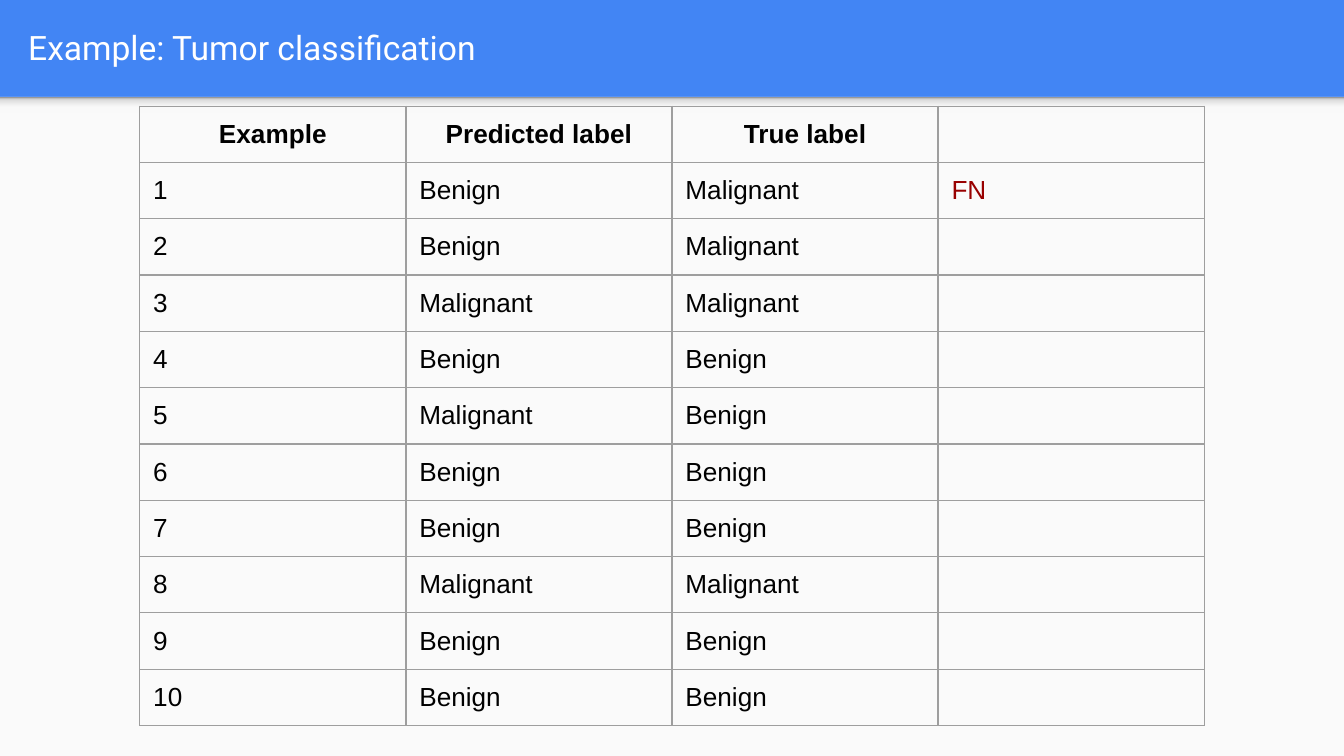
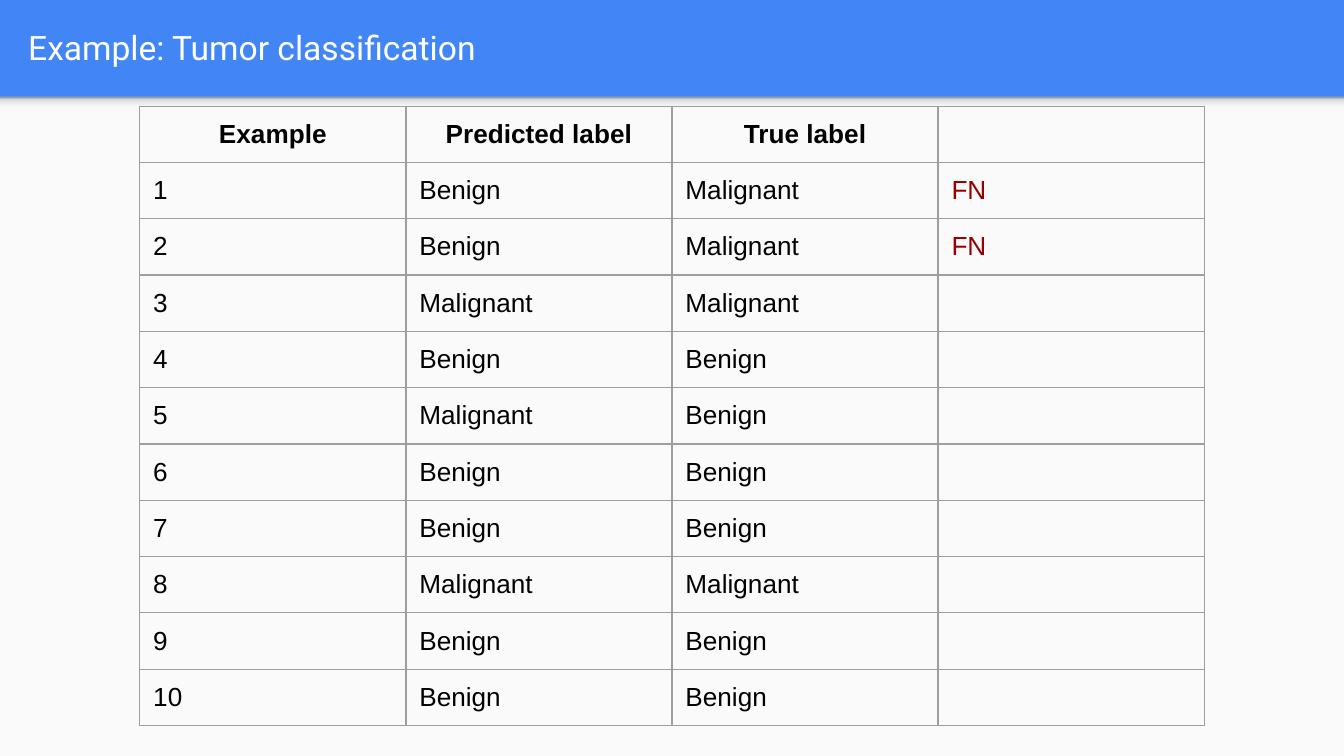
"""Build the tumor classification slides."""
from dataclasses import dataclass

from lxml import etree
from pptx import Presentation
from pptx import util as u
from pptx.dml.color import RGBColor
from pptx.enum import shapes, text
from pptx.oxml import ns


@dataclass(frozen=True)
class Theme:
    blue: str = "4285F4"
    page: str = "FAFAFA"
    white: str = "FFFFFF"
    ink: str = "000000"
    red: str = "980000"
    grid: str = "9E9E9E"
    shade: tuple = ((0, "F9F9F9"), (36, "F9F9F9"), (80, "DEDEDE"), (100, "999999"))
    head: str = "Roboto"
    body: str = "Arial"
    big: int = 18
    small: int = 14
    rule: float = 0.75


HEADS = ("Example", "Predicted label", "True label", "")
CASES = (
    ("Benign", "Malignant"),
    ("Benign", "Malignant"),
    ("Malignant", "Malignant"),
    ("Benign", "Benign"),
    ("Malignant", "Benign"),
    ("Benign", "Benign"),
    ("Benign", "Benign"),
    ("Malignant", "Malignant"),
    ("Benign", "Benign"),
    ("Benign", "Benign"),
)


def add(node, tag, **attrs):
    return etree.SubElement(node, ns.qn(tag), **attrs)


def write(frame, words, font, size, color, bold=False, align=text.PP_ALIGN.LEFT):
    para = frame.paragraphs[0]
    para.alignment = align
    if not words:
        end = add(para._p, "a:endParaRPr", sz=str(size * 100))
        add(end, "a:latin", typeface=font)
        return
    run = para.add_run()
    run.text = words
    run.font.name = font
    run.font.size = u.Pt(size)
    run.font.bold = bold
    run.font.color.rgb = RGBColor.from_string(color)


def pad(box):
    for side in ("left", "right", "top", "bottom"):
        setattr(box, f"margin_{side}", u.Inches(0.1))


class Deck:
    """Hold the style and the current slide."""

    def __init__(self, style):
        self.style = style
        self.prs = Presentation()
        self.prs.slide_width = u.Inches(10)
        self.prs.slide_height = u.Inches(10 * 9 / 16)
        self.base = self.prs.slide_layouts[5]
        self.slide = None
        fill = self.prs.slide_master.background.fill
        fill.solid()
        fill.fore_color.rgb = RGBColor.from_string(style.blue)

    def start(self):
        first = self.slide is None
        self.slide = self.prs.slides.add_slide(self.base)
        if first:
            self.share(self.panel(0.72, 4.91), self.shadow(0.72, 0.12))

    def share(self, *parts):
        tree = self.base.shapes.element
        for spot, part in enumerate(parts, 2):
            tree.insert(spot, part.element)

    def panel(self, top, height):
        box = self.slide.shapes.add_shape(
            shapes.MSO_SHAPE.RECTANGLE, 0, u.Inches(top), u.Inches(10), u.Inches(height))
        box.shadow.inherit = False
        box.line.fill.background()
        box.fill.solid()
        box.fill.fore_color.rgb = RGBColor.from_string(self.style.page)
        return box

    def shadow(self, top, height):
        box = self.panel(top, height)
        box.fill.gradient()
        grad = box.element.spPr.find(ns.qn("a:gradFill"))
        for child in list(grad):
            grad.remove(child)
        stops = add(grad, "a:gsLst")
        for pos, color in self.style.shade:
            stop = add(stops, "a:gs", pos=str(pos * 1000))
            add(stop, "a:srgbClr", val=color)
        add(grad, "a:lin", ang=str(270 * 60000), scaled="0")
        return box

    def title(self, words):
        box = self.slide.shapes.title
        box.left, box.top = u.Inches(0.11), u.Inches(0.02)
        box.width, box.height = u.Inches(9.65), u.Inches(0.66)
        frame = box.text_frame
        frame.word_wrap = True
        frame.auto_size = text.MSO_AUTO_SIZE.NONE
        frame.vertical_anchor = text.MSO_ANCHOR.MIDDLE
        pad(frame)
        style = self.style
        write(frame, words, style.head, style.big, style.white)

    def border(self, cell):
        props = cell._tc.get_or_add_tcPr()
        for tag in ("a:lnL", "a:lnR", "a:lnT", "a:lnB"):
            line = add(props, tag, w=str(u.Pt(self.style.rule)))
            add(add(line, "a:solidFill"), "a:srgbClr", val=self.style.grid)

    def table(self, rows):
        style = self.style
        shape = self.slide.shapes.add_table(
            len(rows), len(rows[0]), u.Inches(1.04), u.Inches(0.79),
            u.Inches(7.92), u.Inches(4.77))
        grid = shape.table
        grid.first_row = grid.horz_banding = False
        for i, row in enumerate(rows):
            grid.rows[i].height = u.Inches(0.31)
            for j, words in enumerate(row):
                cell = grid.cell(i, j)
                pad(cell)
                self.border(cell)
                cell.fill.background()
                write(cell.text_frame, words, style.body, style.small,
                      style.red if i and j == 3 else style.ink, bold=i == 0,
                      align=text.PP_ALIGN.LEFT if i else text.PP_ALIGN.CENTER)
        shape.height = u.Inches(4.77)


def main():
    deck = Deck(Theme())
    for known in (1, 2):
        deck.start()
        deck.title("Example: Tumor classification")
        rows = [(str(n), *case, "FN" if n <= known else "")
                for n, case in enumerate(CASES, 1)]
        deck.table([HEADS, *rows])
    deck.prs.save("out.pptx")


if __name__ == "__main__":
    main()
